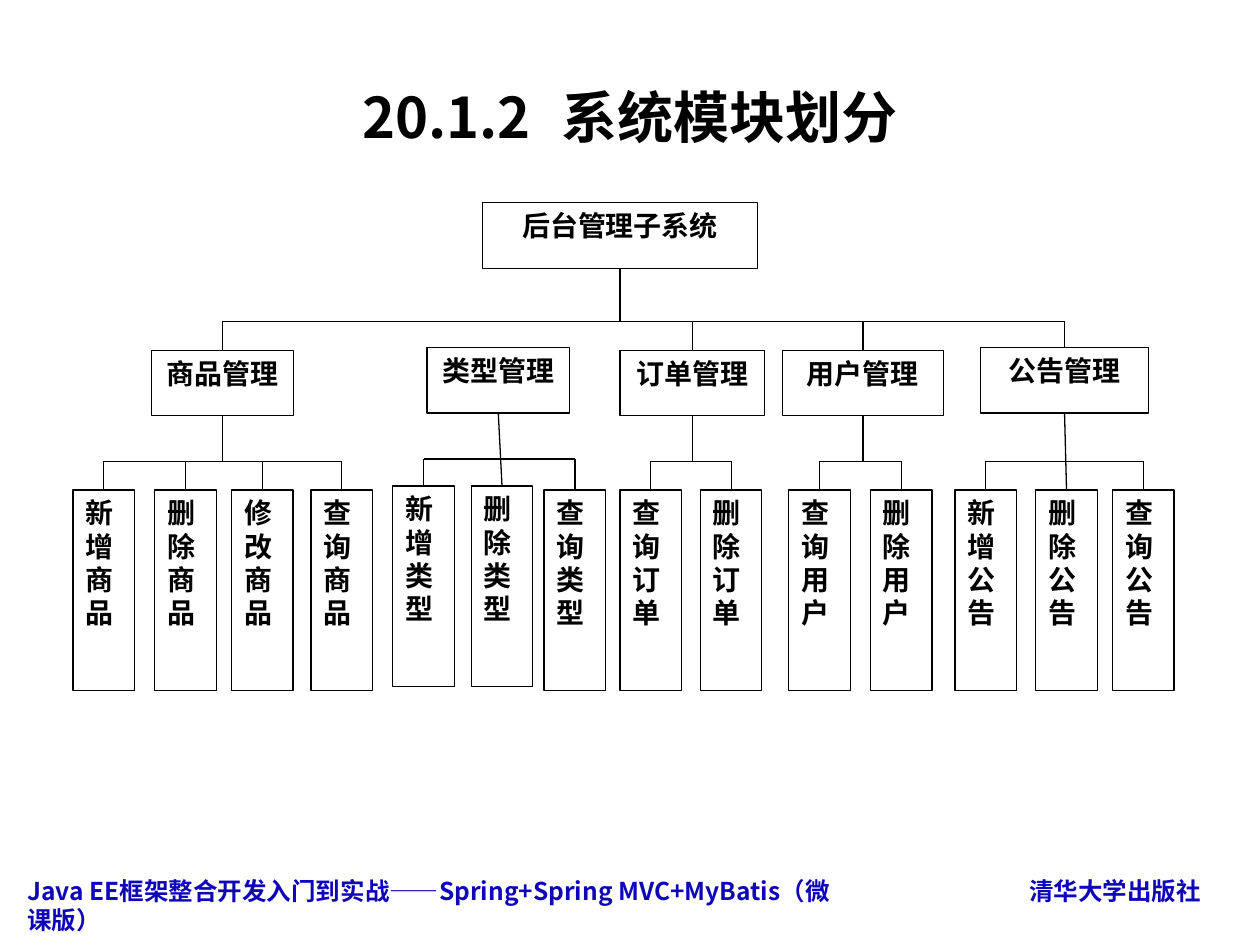
from pptx import Presentation
from pptx.dml.color import RGBColor
from pptx.enum.shapes import MSO_CONNECTOR, MSO_SHAPE
from pptx.enum.text import MSO_ANCHOR, PP_ALIGN
from pptx.oxml.ns import qn
from pptx.util import Cm, Pt
from lxml import etree

RECT = MSO_SHAPE.RECTANGLE
LINE = MSO_CONNECTOR.STRAIGHT
MIDDLE, TOP = MSO_ANCHOR.MIDDLE, MSO_ANCHOR.TOP
CENTER, LEFT = PP_ALIGN.CENTER, PP_ALIGN.LEFT
FACE = "Noto Sans CJK SC"
BLACK, WHITE, BLUE = "000000", "FFFFFF", "0F06BA"
HIGH, LEAF_W, LEAF_H = Cm(1.32), Cm(1.24), Cm(4.04)
BUS = Cm(6.48)

deck = Presentation()
deck.slide_width, deck.slide_height = Cm(25.4), Cm(19.05)
slide = deck.slides.add_slide(deck.slide_layouts[5])
shapes = slide.shapes


def write(shape, parts, size, color=BLACK, align=LEFT, anchor=TOP):
    """Fill a shape with one bold paragraph made of the given runs."""
    frame = shape.text_frame
    frame.word_wrap = True
    frame.vertical_anchor = anchor
    para = frame.paragraphs[0]
    para.alignment = align
    para.line_spacing = Pt(round(size * 1.19, 1))
    for part in parts:
        run = para.add_run()
        run.text = part
        look = {"name": FACE, "size": Pt(size), "bold": True}
        for key, value in look.items():
            setattr(run.font, key, value)
        run.font.color.rgb = RGBColor.from_string(color)
        east = etree.SubElement(run._r.get_or_add_rPr(), qn("a:ea"))
        east.set("typeface", FACE)
    return para


def link(start, end, head=None, tail=None):
    """Draw a line between two points, joined to head's bottom or tail's top."""
    line = shapes.add_connector(LINE, *start, *end)
    if head is not None:
        line.begin_connect(head, 2)
    if tail is not None:
        line.end_connect(tail, 0)
    line.line.width = Pt(0.75)
    line.line.color.rgb = RGBColor.from_string(BLACK)
    etree.SubElement(line._element.spPr, qn("a:effectLst"))


# Footer
for left, width, text in [
    (0.3, 16.8, "Java EE框架整合开发入门到实战——Spring+Spring MVC+MyBatis（微课版）"),
    (20.5, 4, "清华大学出版社"),
]:
    foot = shapes.add_textbox(Cm(left), Cm(17.53), Cm(width), Cm(0.86))
    write(foot, [text], 14, BLUE)

# Title, with the gap after the number widened by letter spacing
title = shapes.title
place = {"left": Cm(1.27), "top": Cm(0.76), "width": Cm(22.86), "height": Cm(3.18)}
for key, value in place.items():
    setattr(title, key, value)
para = write(title, ["20.1.2", " ", "系统模块划分"], 32, align=CENTER, anchor=MIDDLE)
para.runs[1]._r.get_or_add_rPr().set("spc", "1000")

# Boxes: the root, then each module with its leaves
root = (Cm(9.73), Cm(4.09), Cm(5.54), HIGH, "后台管理子系统", CENTER)
# name, left, top, width, rail height, joined to the bus, leaves (verb, left, top)
groups = [
    ("商品", 3.05, 7.06, 2.87, 9.3, True,
     [("新增", 1.47, 9.88), ("删除", 3.12, 9.88), ("修改", 4.67, 9.88), ("查询", 6.27, 9.88)]),
    ("类型", 8.61, 7.01, 2.87, 9.25, False,
     [("新增", 7.92, 9.8), ("删除", 9.5, 9.8), ("查询", 10.97, 9.88)]),
    ("订单", 12.5, 7.06, 2.92, 9.3, True,
     [("查询", 12.5, 9.88), ("删除", 14.12, 9.88)]),
    ("用户", 15.77, 7.06, 3.25, 9.3, True,
     [("查询", 15.9, 9.88), ("删除", 17.55, 9.88)]),
    ("公告", 19.76, 7.01, 3.4, 9.3, True,
     [("新增", 19.25, 9.88), ("删除", 20.88, 9.88), ("查询", 22.43, 9.88)]),
]
plan = [root]
for name, left, top, width, rail, joined, leaves in groups:
    plan.append((Cm(left), Cm(top), Cm(width), HIGH, name + "管理", CENTER))
    for verb, x, y in leaves:
        plan.append((Cm(x), Cm(y), LEAF_W, LEAF_H, verb + name, LEFT))

boxes = {}
for left, top, width, height, text, align in plan:
    box = shapes.add_shape(RECT, left, top, width, height)
    box.shadow.inherit = False
    box.fill.solid()
    box.fill.fore_color.rgb = RGBColor.from_string(WHITE)
    box.line.color.rgb = RGBColor.from_string(BLACK)
    box.line.width = Pt(0.75)
    write(box, [text], 16, align=align)
    boxes[text] = box

# Lines: the bus under the root, then a rail above each set of leaves
trunk = boxes["后台管理子系统"]
mid = trunk.left + trunk.width // 2
link((mid, BUS), (mid, BUS), head=trunk)
ends = []
for name, left, top, width, rail, joined, leaves in groups:
    module = boxes[name + "管理"]
    mid = module.left + module.width // 2
    ends.append(mid)
    if joined:
        link((mid, BUS), (mid, BUS), tail=module)
    level = Cm(rail)
    stops = [Cm(x) + LEAF_W // 2 for verb, x, y in leaves]
    link((stops[0], level), (stops[-1], level))
    odd = len(leaves) % 2
    if not odd:
        link((mid, level), (mid, level), head=module)
    for index, (verb, x, y) in enumerate(leaves):
        leaf, stop = boxes[verb + name], stops[index]
        middle = odd and index == len(leaves) // 2
        link((stop, level), (stop, level), head=module if middle else None, tail=leaf)
link((ends[0], BUS), (ends[-1], BUS))

deck.save("out.pptx")
